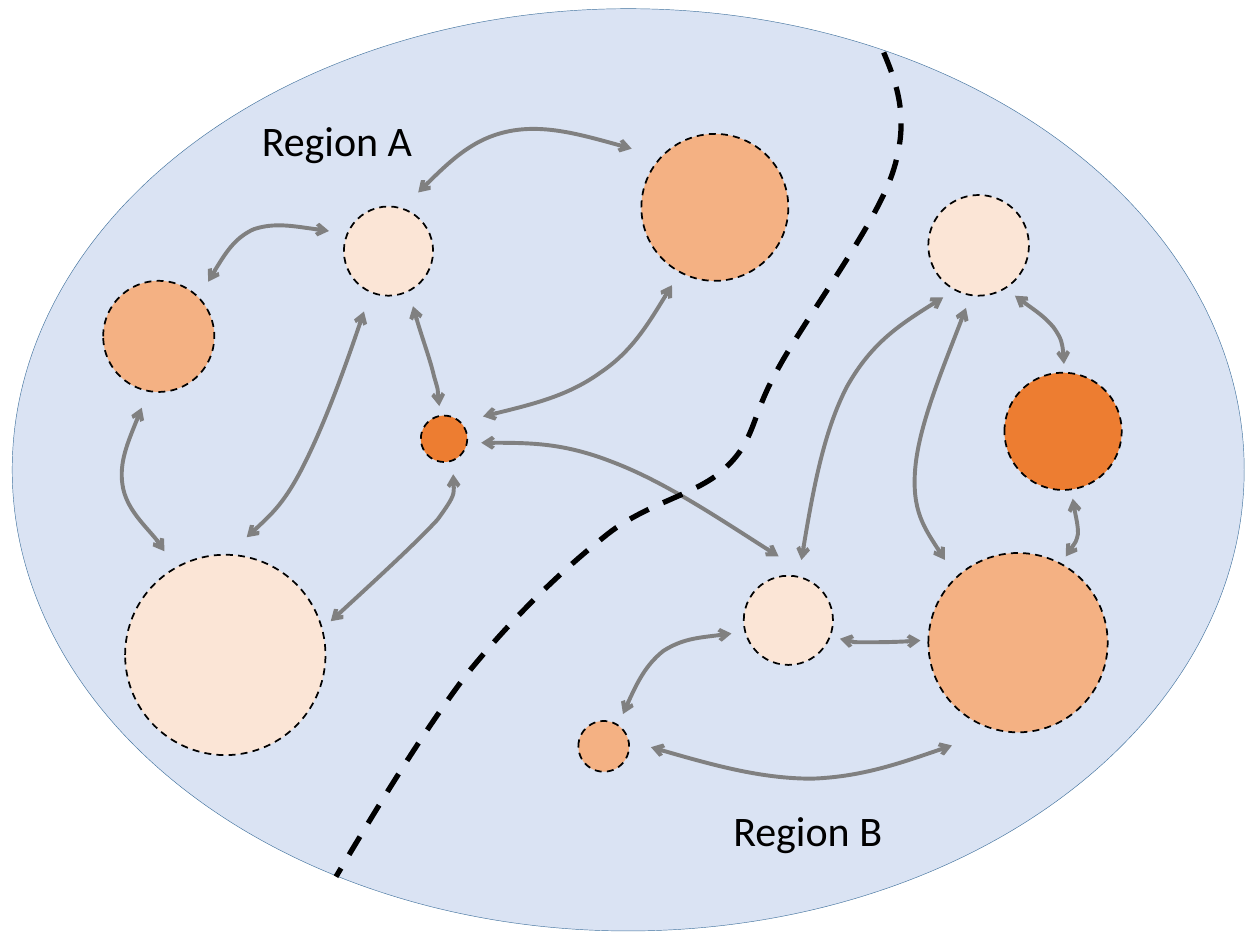
from lxml.etree import SubElement
from pptx import Presentation
from pptx.dml.color import RGBColor
from pptx.enum.dml import MSO_LINE
from pptx.enum.shapes import MSO_SHAPE
from pptx.enum.text import MSO_AUTO_SIZE
from pptx.oxml.ns import qn
from pptx.util import Pt

COLORS = {
    "region": "DAE3F3", "region_line": "43739E",
    "light": "FBE5D6", "medium": "F4B183", "strong": "ED7D31",
    "black": "000000", "arrow": "808080",
}

# Patches: left, top, diameter, colour
PATCHES = [
    (59, 160.5, 63.5, "medium"),
    (196.5, 118, 51, "light"),
    (71.5, 317, 114.5, "light"),
    (240.5, 237.5, 26.5, "strong"),
    (330.5, 412, 29, "medium"),
    (425, 329, 51, "light"),
    (366.5, 76.5, 84, "medium"),
    (530.5, 316, 102.5, "medium"),
    (574, 213, 67, "strong"),
    (530.5, 111.5, 57.5, "light"),
]

# Labels: text, left, top, width, height
LABELS = [
    ("Region A", 142.5, 62, 101.5, 36),
    ("Region B", 412, 456, 100, 36),
]

# Curves: start point, then two control points and an end point per segment
MOVES = [
    [(81, 233), (75, 248), (68, 264), (70, 277), (72, 291), (90, 307), (94, 315)],
    [(119, 161), (126, 149), (134, 136), (145, 131), (157, 127), (172, 130), (188, 132)],
    [(239, 110), (255, 94), (271, 79), (291, 75), (311, 71), (336, 78), (361, 85)],
    [(275, 253), (298, 253), (322, 253), (350, 264), (379, 275), (412, 297), (445, 318)],
    [(236, 175), (240, 190), (246, 206), (248, 215), (251, 225), (251, 232), (251, 232)],
    [(189, 355), (213, 333), (238, 310), (250, 297), (261, 282), (260, 276), (259, 271)],
    [(544, 426), (518, 435), (492, 444), (464, 445), (435, 445), (403, 436), (372, 427)],
    [(141, 307), (152, 297), (163, 287), (174, 265), (185, 243), (197, 211), (208, 178)],
    [(384, 163), (373, 181), (361, 201), (343, 213), (325, 226), (301, 232), (276, 238)],
    [(580, 169), (588, 175), (597, 181), (602, 187), (607, 194), (608, 201), (608, 208)],
    [(613, 285), (614, 292), (616, 300), (616, 305), (615, 310), (612, 314), (609, 318)],
    [(526, 366), (513, 367), (502, 367), (494, 367), (486, 367), (483, 366), (480, 365)],
    [(539, 170), (518, 183), (498, 196), (484, 221), (471, 246), (464, 283), (458, 320)],
    [(552, 176), (539, 210), (525, 244), (523, 268), (521, 292), (531, 306), (540, 320)],
    [(418, 362), (403, 364), (390, 365), (379, 372), (369, 380), (362, 394), (356, 408)],
]
BORDER = [
    (505, 30), (513, 49), (520, 69), (510, 99), (500, 129), (461, 181), (445, 210),
    (429, 238), (432, 251), (415, 267), (399, 283), (369, 287), (345, 307),
    (320, 327), (293, 353), (267, 385), (242, 418), (217, 459), (192, 501),
]


def rgb(name):
    return RGBColor.from_string(COLORS[name])


def set_line(sp, color, width, dashed=False):
    sp.shadow.inherit = False
    sp.line.color.rgb = rgb(color)
    sp.line.width = Pt(width)
    if dashed:
        sp.line.dash_style = MSO_LINE.DASH


def add_ellipse(shapes, left, top, width, height, fill):
    sp = shapes.add_shape(MSO_SHAPE.OVAL, Pt(left), Pt(top), Pt(width), Pt(height))
    sp.fill.solid()
    sp.fill.fore_color.rgb = rgb(fill)
    return sp


def add_curve(shapes, points):
    """Build an open outline and turn each three line segments into a Bézier."""
    builder = shapes.build_freeform(*points[0], scale=Pt(1))
    builder.add_line_segments(points[1:], close=False)
    sp = builder.convert_to_shape()
    sp.fill.background()
    path = next(sp.element.iter(qn("a:path")))
    lines = path.findall(qn("a:lnTo"))
    for i in range(0, len(lines), 3):
        bezier = SubElement(path, qn("a:cubicBezTo"))
        for line in lines[i:i + 3]:
            bezier.append(line[0])
            path.remove(line)
    return sp


def add_arrowheads(sp):
    ln = sp.element.spPr.find(qn("a:ln"))
    for end in ("a:headEnd", "a:tailEnd"):
        SubElement(ln, qn(end), type="arrow")


def main():
    prs = Presentation()
    prs.slide_width, prs.slide_height = Pt(720), Pt(540)
    shapes = prs.slides.add_slide(prs.slide_layouts[6]).shapes

    # Whole area
    set_line(add_ellipse(shapes, 7, 5, 704, 527, "region"), "region_line", 0.25)

    # Patches
    for left, top, size, fill in PATCHES:
        sp = add_ellipse(shapes, left, top, size, size, fill)
        set_line(sp, "black", 1, dashed=True)

    # Region labels
    for text, *box in LABELS:
        tf = shapes.add_textbox(*map(Pt, box)).text_frame
        tf.word_wrap = False
        tf.auto_size = MSO_AUTO_SIZE.SHAPE_TO_FIT_TEXT
        tf.text = text
        font = tf.paragraphs[0].runs[0].font
        font.name, font.size = "Calibri", Pt(24)
        font.color.rgb = rgb("black")

    # Movements between patches
    for points in MOVES:
        sp = add_curve(shapes, points)
        set_line(sp, "arrow", 2.25)
        add_arrowheads(sp)

    # Border between the regions
    set_line(add_curve(shapes, BORDER), "black", 3, dashed=True)

    prs.save("out.pptx")


if __name__ == "__main__":
    main()
